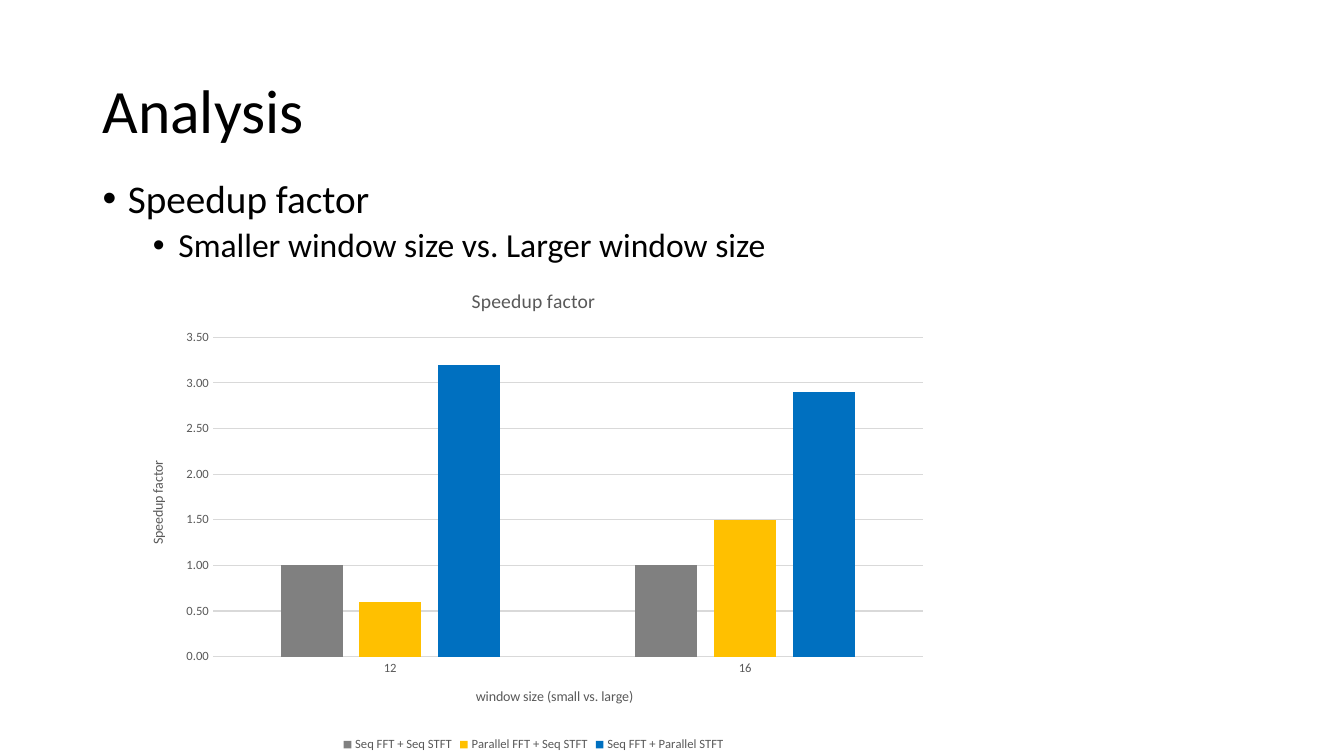
from dataclasses import dataclass

from lxml import etree
from pptx import Presentation
from pptx.chart.data import CategoryChartData
from pptx.dml.color import RGBColor
from pptx.enum import chart as ch, text
from pptx.oxml.ns import qn
from pptx.util import Cm, Pt

TITLE = "Analysis"
# text, size name, level, indent in cm, space before in points
BULLETS = [
    ("Speedup factor", "bullet", 0, 0.64, 0),
    ("Smaller window size vs. Larger window size", "sub_bullet", 1, 1.91, 5),
]
HANGING = 0.64

CHART_TITLE = "Speedup factor"
CATEGORY_TITLE = "window size (small vs. large)"
VALUE_TITLE = "Speedup factor"
WINDOW_SIZES = ["12", "16"]
SPEEDUPS = [
    ("Seq FFT + Seq STFT", (1, 1), "808080"),
    ("Parallel FFT + Seq STFT", (0.6, 1.5), "FFC000"),
    ("Seq FFT + Parallel STFT", (3.2, 2.9), "0070C0"),
]

# left, top, width, height in cm
TITLE_BOX = (2.33, 1.02, 29.21, 3.68)
BODY_BOX = (2.33, 4.39, 29.21, 12.09)
CHART_BOX = (3.23, 6.78, 20.43, 12.27)


@dataclass(frozen=True)
class Theme:
    font: str = "Calibri"
    ink: str = "000000"
    muted: str = "595959"
    grid: str = "D9D9D9"
    title: int = 44
    bullet: int = 28
    sub_bullet: int = 24
    chart_title: int = 14
    axis_title: int = 10
    label: int = 9


THEME = Theme()


def style_font(font, size, color):
    font.name = THEME.font
    font.size = Pt(size)
    font.bold = False
    font.color.rgb = RGBColor.from_string(color)


def place(shape, box):
    shape.left, shape.top, shape.width, shape.height = map(Cm, box)


def add_bullet(para, indent):
    props = para._p.get_or_add_pPr()
    props.set("marL", str(Cm(indent)))
    props.set("indent", str(-Cm(HANGING)))
    etree.SubElement(props, qn("a:buFont")).set("typeface", "Arial")
    etree.SubElement(props, qn("a:buChar")).set("char", "•")


def fill_title(shape):
    place(shape, TITLE_BOX)
    frame = shape.text_frame
    frame.text = TITLE
    frame.vertical_anchor = text.MSO_ANCHOR.MIDDLE
    para = frame.paragraphs[0]
    para.alignment = text.PP_ALIGN.LEFT
    para.line_spacing = 0.9
    style_font(para.font, THEME.title, THEME.ink)


def fill_body(shape):
    place(shape, BODY_BOX)
    frame = shape.text_frame
    frame.text = "\n".join(bullet[0] for bullet in BULLETS)
    for para, (_, size, level, indent, before) in zip(frame.paragraphs, BULLETS):
        add_bullet(para, indent)
        para.level = level
        para.line_spacing = 0.9
        para.space_before = Pt(before)
        style_font(para.font, getattr(THEME, size), THEME.ink)


def set_heading(owner, wording, size):
    """Title a chart or an axis."""
    owner.has_title = True
    title = owner.chart_title if hasattr(owner, "chart_title") else owner.axis_title
    title.text_frame.text = wording
    style_font(title.text_frame.paragraphs[0].font, size, THEME.muted)


def style_line(line):
    line.color.rgb = RGBColor.from_string(THEME.grid)
    line.width = Pt(0.75)


def add_speedup_chart(page):
    data = CategoryChartData(number_format="0.00")
    data.categories = WINDOW_SIZES
    for name, values, _ in SPEEDUPS:
        data.add_series(name, values)
    chart = page.shapes.add_chart(
        ch.XL_CHART_TYPE.COLUMN_CLUSTERED, *map(Cm, CHART_BOX), data
    ).chart
    style_font(chart.font, THEME.axis_title, THEME.ink)
    set_heading(chart, CHART_TITLE, THEME.chart_title)

    chart.has_legend = True
    chart.legend.position = ch.XL_LEGEND_POSITION.BOTTOM
    chart.legend.include_in_layout = False
    style_font(chart.legend.font, THEME.label, THEME.muted)

    for axis, wording in ((chart.category_axis, CATEGORY_TITLE),
                          (chart.value_axis, VALUE_TITLE)):
        set_heading(axis, wording, THEME.axis_title)
        axis.major_tick_mark = axis.minor_tick_mark = ch.XL_TICK_MARK.NONE
        style_font(axis.tick_labels.font, THEME.label, THEME.muted)
    style_line(chart.category_axis.format.line)
    values_axis = chart.value_axis
    values_axis.format.line.fill.background()
    values_axis.minimum_scale, values_axis.maximum_scale = 0, 3.5
    values_axis.major_unit = 0.5
    values_axis.tick_labels.number_format = "0.00"
    values_axis.tick_labels.number_format_is_linked = False
    style_line(values_axis.major_gridlines.format.line)

    plot = chart.plots[0]
    plot.vary_by_categories = False
    plot.gap_width, plot.overlap = 219, -27
    for series, (_, _, color) in zip(plot.series, SPEEDUPS):
        series.format.fill.solid()
        series.format.fill.fore_color.rgb = RGBColor.from_string(color)


def main():
    deck = Presentation()
    deck.slide_width, deck.slide_height = Cm(33.87), Cm(19.05)
    page = deck.slides.add_slide(deck.slide_layouts[1])
    fill_title(page.shapes.title)
    fill_body(page.placeholders[1])
    add_speedup_chart(page)
    deck.save("out.pptx")


if __name__ == "__main__":
    main()
